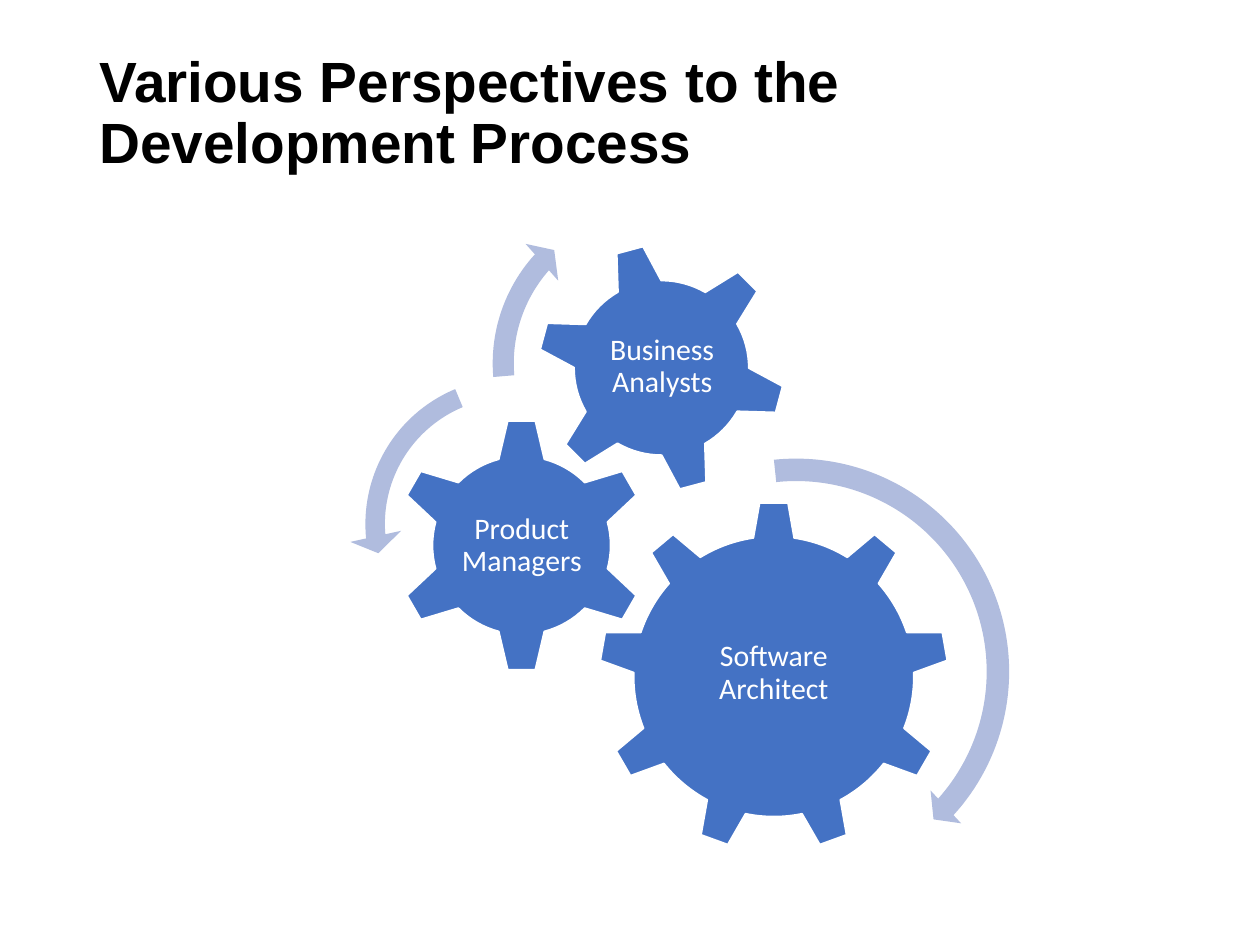
from pptx import Presentation
from pptx.dml.color import RGBColor
from pptx.enum.shapes import MSO_SHAPE as Shape
from pptx.enum.text import MSO_ANCHOR as Anchor, MSO_AUTO_SIZE as AutoSize, PP_ALIGN as Align
from pptx.util import Cm, Pt


def color(value):
    return RGBColor.from_string(value)


def write(frame, text, *, size, font, fill, bold=False, align=Align.LEFT, inset=None):
    frame.word_wrap = True
    frame.auto_size = AutoSize.NONE
    frame.vertical_anchor = Anchor.MIDDLE
    if inset is not None:
        frame.margin_left = frame.margin_right = inset
        frame.margin_top = frame.margin_bottom = inset
    paragraph = frame.paragraphs[0]
    paragraph.alignment = align
    paragraph.line_spacing = 0.9
    run = paragraph.add_run()
    run.text = text
    run.font.size = Pt(size)
    run.font.name = font
    run.font.bold = bold
    run.font.color.rgb = color(fill)


prs = Presentation()
prs.slide_width, prs.slide_height = Cm(25.4), Cm(19.05)
slide = prs.slides.add_slide(prs.slide_layouts[5])
shapes = slide.shapes

title = shapes.title
title.left, title.top, title.width, title.height = Cm(1.75), Cm(1.02), Cm(21.9), Cm(2.59)
write(title.text_frame, "Various Perspectives to the Development Process",
      size=32.4, font="Arial", fill="000000", bold=True)

roles = [
    ("Software Architect", Shape.GEAR_9, 12.07, 10.11, 7.06, 0, (13.49, 11.76, 4.22, 3.63)),
    ("Product Managers", Shape.GEAR_6, 7.95, 8.43, 5.13, 0, (9.25, 9.73, 2.54, 2.54)),
    ("Business Analysts", Shape.GEAR_6, 10.82, 4.9, 5.03, -15, (11.94, 5.99, 2.82, 2.82)),
]
for role, gear_type, left, top, size, rotation, label_box in roles:
    gear = shapes.add_shape(gear_type, Cm(left), Cm(top), Cm(size), Cm(size))
    gear.rotation = rotation
    gear.shadow.inherit = False
    gear.fill.solid()
    gear.fill.fore_color.rgb = color("4472C4")
    gear.line.color.rgb = color("FFFFFF")
    gear.line.width = Pt(1)
    label = shapes.add_textbox(*map(Cm, label_box))
    write(label.text_frame, role, size=17, font="Calibri", fill="FFFFFF",
          align=Align.CENTER, inset=Cm(0.06))

turns = [
    (Shape.CIRCULAR_ARROW, 11.53, 9.02, 9.04, (0.05, 2.99, 25.26, 158.41, 0.05)),
    (Shape.LEFT_CIRCULAR_ARROW, 7.04, 7.29, 6.55, (0.06, 4.3, 104.89, 148.38, 0.08)),
    (Shape.CIRCULAR_ARROW, 9.65, 3.78, 7.09, (0.06, 3.94, 133.14, 105.08, 0.07)),
]
for arrow_type, left, top, size, bends in turns:
    turn = shapes.add_shape(arrow_type, Cm(left), Cm(top), Cm(size), Cm(size))
    for index, bend in enumerate(bends):
        turn.adjustments[index] = bend
    turn.shadow.inherit = False
    turn.fill.solid()
    turn.fill.fore_color.rgb = color("B0BCDE")
    turn.line.fill.background()

prs.save("out.pptx")
